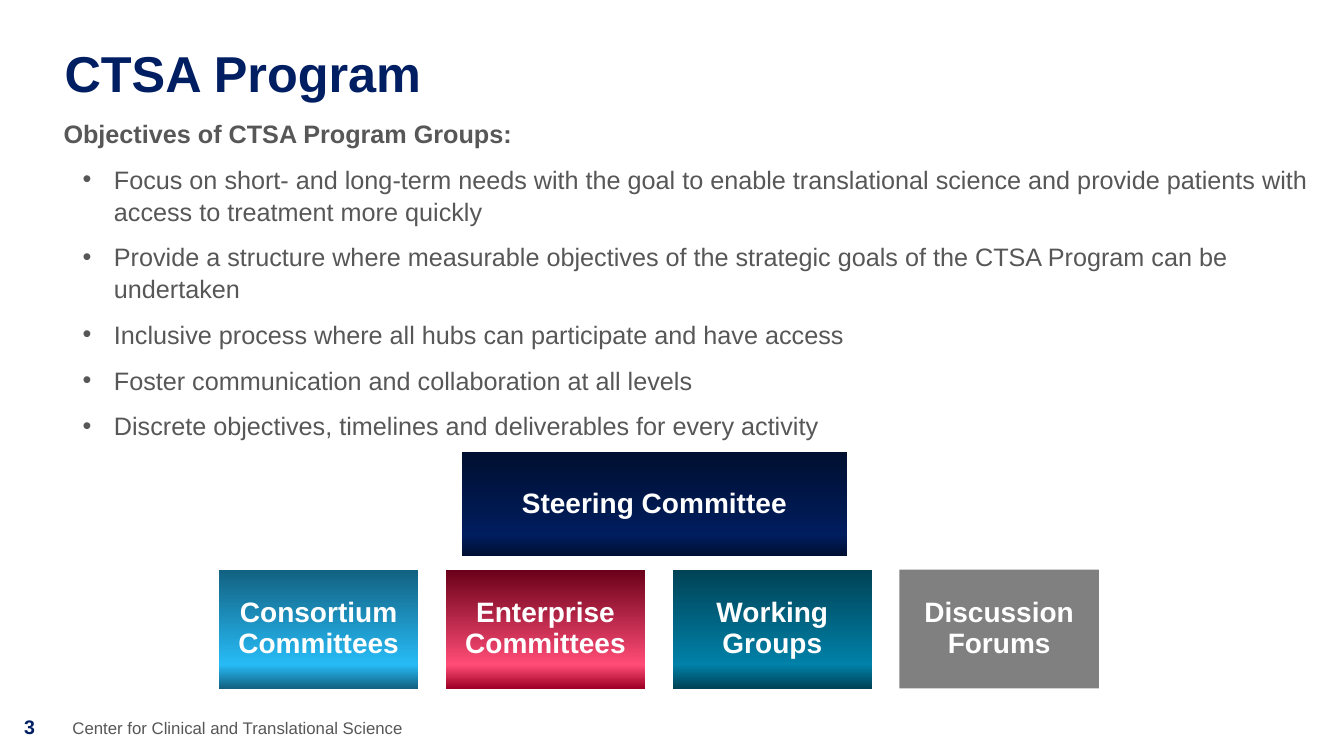
from copy import deepcopy

from lxml.etree import SubElement
from pptx import Presentation
from pptx.dml.color import RGBColor
from pptx.enum.shapes import MSO_SHAPE
from pptx.enum.text import MSO_ANCHOR, PP_ALIGN
from pptx.oxml.ns import qn
from pptx.util import Inches, Pt

NAVY = "001E62"
GREY = "575757"
OBJECTIVES = [
    "Focus on short- and long-term needs with the goal to enable translational science "
    "and provide patients with access to treatment more quickly",
    "Provide a structure where measurable objectives of the strategic goals of the "
    "CTSA Program can be undertaken",
    "Inclusive process where all hubs can participate and have access",
    "Foster communication and collaboration at all levels",
    "Discrete objectives, timelines and deliverables for every activity",
]
GROUPS = [
    ("Consortium Committees", ["126181", "27BBF6", "126181"]),
    ("Enterprise Committees", ["6A0019", "FF4C76", "9F0025"]),
    ("Working Groups", ["004256", "0081A8", "004256"]),
    ("Discussion Forums", ["808080"]),
]
GROUP_LEFT, GROUP_WIDTH, GROUP_PITCH = 2.17, 1.98, 2.25


def color(value):
    """Turn a hex string into a color."""
    return RGBColor.from_string(value)


def add_run(paragraph, text, size, hex_color, bold=False):
    """Add one formatted run to a paragraph."""
    run = paragraph.add_run()
    run.text = text
    run.font.name = "Arial"
    run.font.size = Pt(size)
    run.font.bold = bold
    run.font.color.rgb = color(hex_color)


def prepare_frame(shape, anchor, horizontal, vertical):
    """Set wrapping, anchor and insets, and return the text frame."""
    frame = shape.text_frame
    frame.word_wrap = True
    frame.vertical_anchor = anchor
    frame.margin_left = frame.margin_right = Inches(horizontal)
    frame.margin_top = frame.margin_bottom = Inches(vertical)
    return frame


def add_label(slide, box, text, size, hex_color, bold=False):
    """Add a one-line text box in the footer."""
    shape = slide.shapes.add_textbox(*map(Inches, box))
    frame = prepare_frame(shape, MSO_ANCHOR.MIDDLE, 0.1, 0.05)
    add_run(frame.paragraphs[0], text, size, hex_color, bold)


def set_title(slide, text):
    """Place and format the title placeholder."""
    title = slide.shapes.title
    title.left, title.top, title.width, title.height = map(Inches, (0.64, 0.47, 10.75, 0.56))
    paragraph = prepare_frame(title, MSO_ANCHOR.BOTTOM, 0, 0).paragraphs[0]
    paragraph.alignment = PP_ALIGN.LEFT
    paragraph.line_spacing = 0.9
    add_run(paragraph, text, 36, NAVY, True)


def add_bullet(paragraph):
    """Give a paragraph a hanging bullet."""
    properties = paragraph._p.get_or_add_pPr()
    properties.set("marL", str(Inches(0.5)))
    properties.set("indent", str(Inches(-0.31)))
    SubElement(properties, qn("a:buFont")).set("typeface", "Arial")
    SubElement(properties, qn("a:buChar")).set("char", "•")


def add_objectives(slide, heading, objectives):
    """Add the heading with its bulleted objectives."""
    shape = slide.shapes.add_textbox(*map(Inches, (0.63, 1.16, 12.35, 3.67)))
    frame = prepare_frame(shape, MSO_ANCHOR.TOP, 0, 0)
    add_run(frame.paragraphs[0], heading, 18, GREY, True)
    for objective in objectives:
        paragraph = frame.add_paragraph()
        add_bullet(paragraph)
        paragraph.space_before = Pt(10)
        add_run(paragraph, objective, 18, GREY)
    for paragraph in frame.paragraphs:
        paragraph.line_spacing = 1.05


def fill_shape(shape, colors):
    """Fill a shape with one color or a three-stop vertical gradient."""
    if len(colors) == 1:
        shape.fill.solid()
        shape.fill.fore_color.rgb = color(colors[0])
        return
    shape.fill.gradient()
    shape.fill.gradient_angle = 270
    stop_list = shape._element.spPr.find(".//" + qn("a:gsLst"))
    stop_list.append(deepcopy(stop_list[0]))
    for stop, position, value in zip(shape.fill.gradient_stops, (0, 0.8, 1), colors):
        stop.position = position
        stop.color.rgb = color(value)


def add_group_box(slide, box, text, colors):
    """Add one box of the committee chart."""
    shape = slide.shapes.add_shape(MSO_SHAPE.RECTANGLE, *map(Inches, box))
    shape.shadow.inherit = False
    shape.line.fill.background()
    fill_shape(shape, colors)
    paragraph = prepare_frame(shape, MSO_ANCHOR.MIDDLE, 0.08, 0.08).paragraphs[0]
    paragraph.alignment = PP_ALIGN.CENTER
    paragraph.line_spacing = 0.9
    add_run(paragraph, text, 20, "FFFFFF", True)


def main():
    """Build and save the slide."""
    presentation = Presentation()
    presentation.slide_width = Inches(13.33)
    presentation.slide_height = Inches(7.5)
    slide = presentation.slides.add_slide(presentation.slide_layouts[5])
    set_title(slide, "CTSA Program")
    add_objectives(slide, "Objectives of CTSA Program Groups:", OBJECTIVES)
    add_group_box(slide, (4.58, 4.48, 3.82, 1.04), "Steering Committee",
                  ["000F30", "001D5E", "000F30"])
    for column, (name, colors) in enumerate(GROUPS):
        left = GROUP_LEFT + column * GROUP_PITCH
        add_group_box(slide, (left, 5.65, GROUP_WIDTH, 1.18), name, colors)
    add_label(slide, (0.14, 7.04, 0.66, 0.34), "3", 14, NAVY, True)
    add_label(slide, (0.62, 7.02, 5.02, 0.4),
              "Center for Clinical and Translational Science", 12, GREY)
    presentation.save("out.pptx")


if __name__ == "__main__":
    main()
